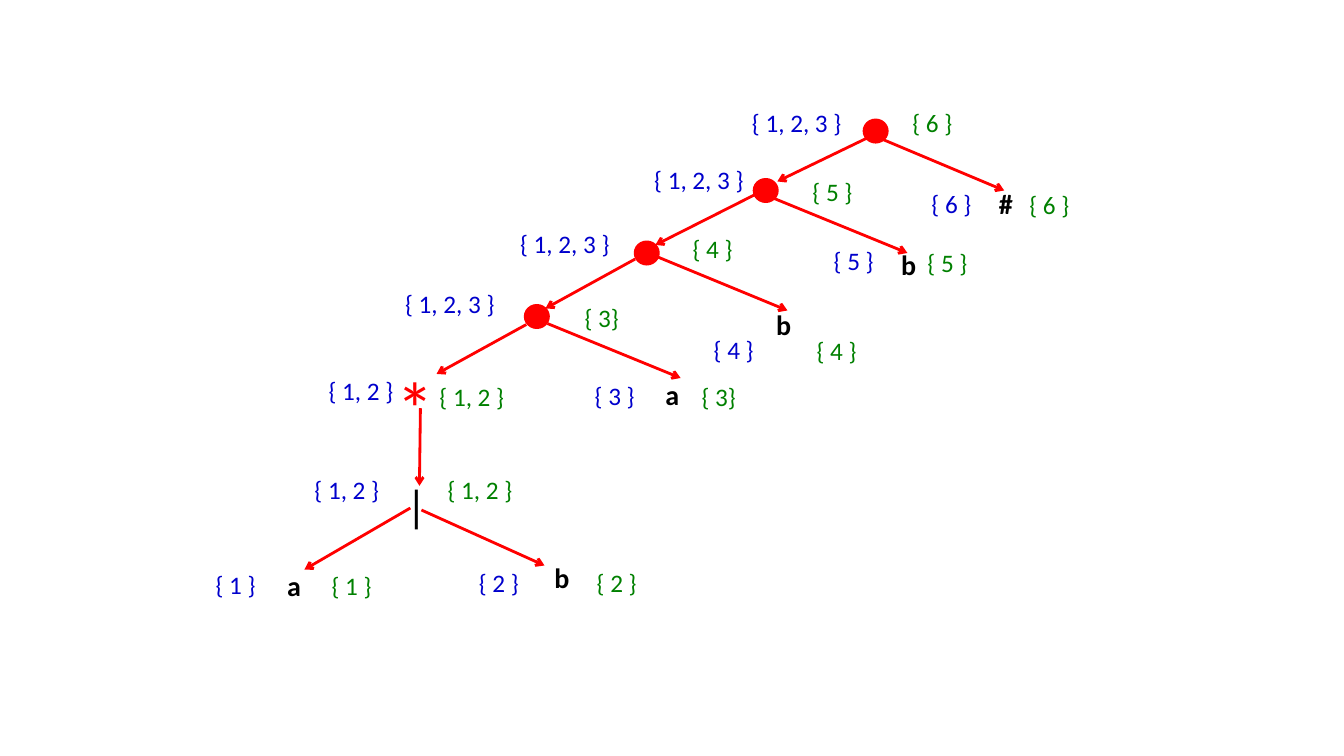
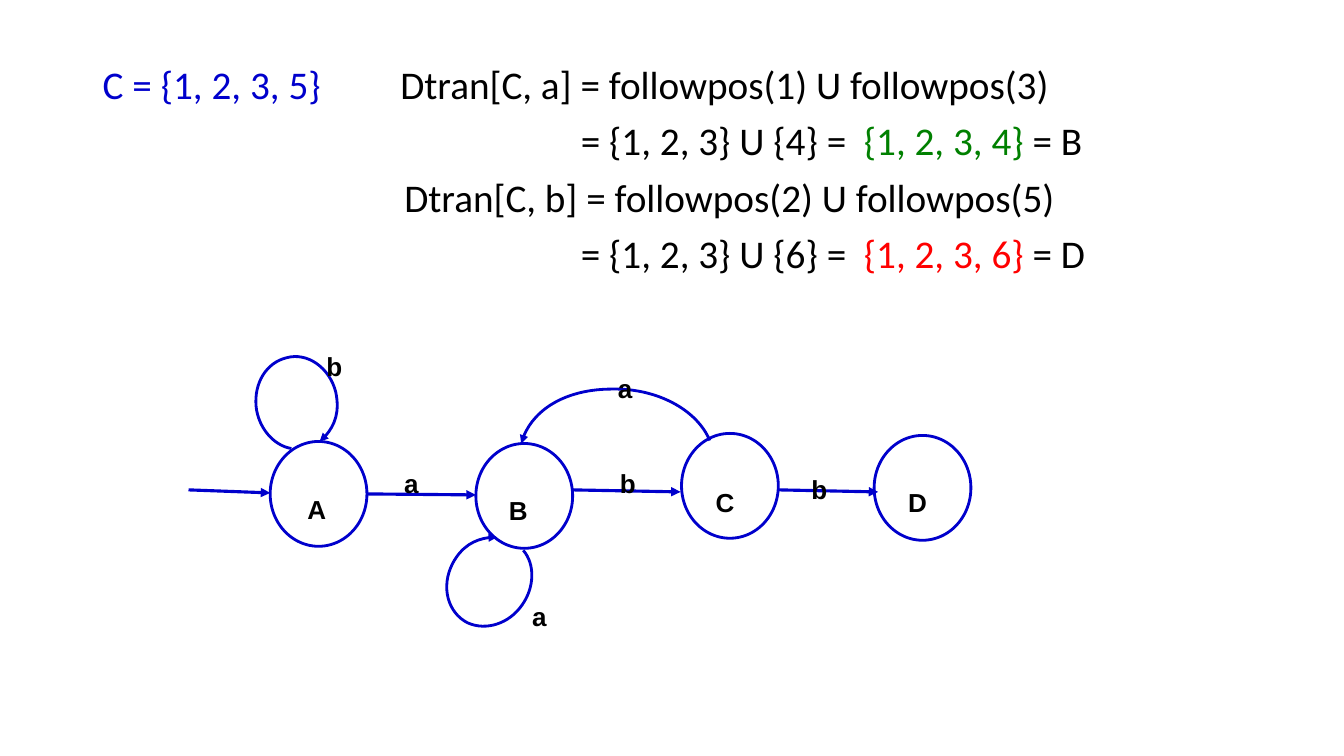
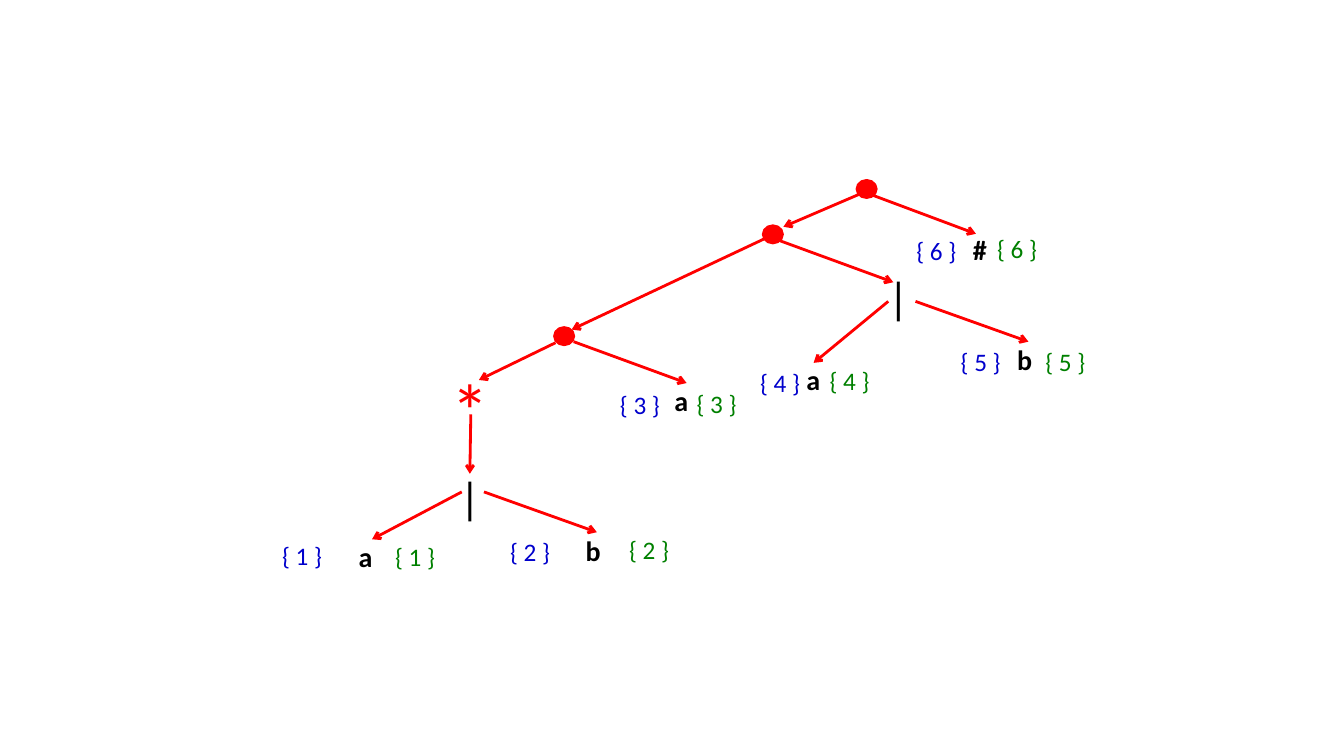
import pptx
import pptx.dml.color
import pptx.enum.shapes
import pptx.enum.text
import pptx.oxml.ns
import pptx.util
from lxml import etree

Inches = pptx.util.Inches
Pt = pptx.util.Pt
qn = pptx.oxml.ns.qn
RGB = pptx.dml.color.RGBColor.from_string
OVAL = pptx.enum.shapes.MSO_SHAPE.OVAL
STRAIGHT = pptx.enum.shapes.MSO_CONNECTOR.STRAIGHT

THEME = {
    "red": RGB("FF0000"),
    "blue": RGB("0000CC"),
    "green": RGB("008000"),
    "black": RGB("000000"),
    "body": {"name": "Calibri", "size": Pt(28)},
    "thin": Pt(2),
    "thick": Pt(2.25),
}
STYLES = {
    "leaf": {"ink": "black", "pad": 0.38, "high": 0.44,
             "font": {"name": "Calibri", "size": Pt(20), "bold": True}},
    "bar": {"ink": "black", "pad": 0.38, "high": 0.44,
            "font": {"name": "Calibri", "size": Pt(32)}},
    "star": {"ink": "red", "pad": 0.74, "high": 0.69,
             "font": {"name": "Calibri", "size": Pt(54)}},
    "first": {"ink": "blue", "pad": 0.38, "high": 0.4,
              "font": {"name": "Calibri", "size": Pt(18)}},
    "last": {"ink": "green", "pad": 0.38, "high": 0.4,
             "font": {"name": "Calibri", "size": Pt(18)}},
    "state": {"ink": "black", "pad": 0.39, "high": 0.64, "drop": "-25000",
              "font": {"name": "Arial", "size": Pt(32), "bold": True}},
    "set": {"ink": "blue", "pad": 1.4, "high": 0.57, "font": THEME["body"]},
}


def label(slide, style, words, x, y):
    look = STYLES[style]
    wide = look["pad"] + 0.08 * len(words)
    box = slide.shapes.add_textbox(Inches(x), Inches(y), Inches(wide), Inches(look["high"]))
    box.text_frame.word_wrap = True
    run = box.text_frame.paragraphs[0].add_run()
    run.text = words
    for key, value in look["font"].items():
        setattr(run.font, key, value)
    run.font.color.rgb = THEME[look["ink"]]
    if "drop" in look:
        run._r.get_or_add_rPr().set("baseline", look["drop"])


def stroke(item, ink, width, tip=None):
    item.line.color.rgb = THEME[ink]
    item.line.width = width
    if tip:
        etree.SubElement(item.line._get_or_add_ln(), qn("a:tailEnd"), type=tip)
    etree.SubElement(item._element.spPr, qn("a:effectLst"))


TREES = [
    {
        "dot": (0.23, 0.22),
        "dots": [(8.57, 1.19), (7.48, 1.78), (6.3, 2.4), (5.21, 3.03)],
        "edges": [
            (8.62, 1.36, 7.71, 1.8), (8.7, 1.36, 9.96, 1.89),
            (7.49, 1.93, 6.5, 2.43), (7.68, 1.97, 9, 2.51),
            (6.3, 2.57, 5.41, 3.06), (6.5, 2.54, 7.81, 3.08),
            (5.22, 3.22, 4.33, 3.71), (5.43, 3.21, 6.75, 3.75),
            (4.17, 4.05, 4.16, 4.82),
            (4.07, 5.04, 3.02, 5.65), (4.18, 5.06, 5.4, 5.61),
        ],
        "labels": {
            "star": [("*", 3.83, 3.53)],
            "bar": [("|", 3.93, 4.69)],
            "leaf": [("a", 2.75, 5.59), ("b", 5.4, 5.51), ("a", 6.5, 3.7),
                     ("b", 7.6, 3), ("b", 8.84, 2.41), ("#", 9.81, 1.8)],
            "first": [("{ 1 }", 2.04, 5.6), ("{ 2 }", 4.65, 5.58), ("{ 3 }", 5.8, 3.72),
                      ("{ 4 }", 6.98, 3.27), ("{ 5 }", 8.17, 2.38), ("{ 6 }", 9.14, 1.82),
                      ("{ 1, 2 }", 3.02, 4.66), ("{ 1, 2 }", 3.16, 3.67),
                      ("{ 1, 2, 3 }", 3.92, 2.81), ("{ 1, 2, 3 }", 5.06, 2.22),
                      ("{ 1, 2, 3 }", 6.39, 1.58), ("{ 1, 2, 3 }", 7.36, 1.02)],
            "last": [("{ 1 }", 3.19, 5.61), ("{ 2 }", 5.82, 5.58), ("{ 3}", 6.86, 3.73),
                     ("{ 4 }", 8, 3.28), ("{ 5 }", 9.1, 2.4), ("{ 6 }", 10.11, 1.83),
                     ("{ 1, 2 }", 4.34, 4.66), ("{ 1, 2 }", 4.26, 3.73),
                     ("{ 3}", 5.7, 2.95), ("{ 4 }", 6.77, 2.27),
                     ("{ 5 }", 7.96, 1.7), ("{ 6 }", 8.95, 1.02)],
        },
    },
    {
        "dot": (0.19, 0.17),
        "dots": [(8.5, 1.79), (7.57, 2.24), (5.5, 3.25)],
        "edges": [
            (8.54, 1.92, 7.77, 2.25), (8.61, 1.92, 9.68, 2.32),
            (7.58, 2.37, 5.67, 3.27), (7.74, 2.39, 8.86, 2.8),
            (5.51, 3.4, 4.75, 3.77), (5.69, 3.39, 6.81, 3.8),
            (4.67, 4.11, 4.66, 4.7),
            (4.58, 4.88, 3.69, 5.35), (4.8, 4.88, 5.92, 5.28),
            (8.81, 2.99, 8.07, 3.6), (9.08, 2.99, 10.2, 3.39),
        ],
        "labels": {
            "star": [("*", 4.38, 3.55)],
            "bar": [("|", 4.46, 4.61), ("|", 8.71, 2.63)],
            "leaf": [("a", 3.46, 5.3), ("b", 5.71, 5.24), ("a", 6.59, 3.76),
                     ("a", 7.9, 3.55), ("b", 9.99, 3.35), ("#", 9.55, 2.26)],
            "first": [("{ 1 }", 2.7, 5.31), ("{ 2 }", 4.96, 5.27), ("{ 3 }", 6.05, 3.81),
                      ("{ 4 }", 7.44, 3.59), ("{ 5 }", 9.43, 3.39), ("{ 6 }", 8.99, 2.29)],
            "last": [("{ 1 }", 3.82, 5.32), ("{ 2 }", 6.14, 5.25), ("{ 3 }", 6.81, 3.8),
                     ("{ 4 }", 8.13, 3.58), ("{ 5 }", 10.27, 3.39), ("{ 6 }", 9.79, 2.27)],
        },
    },
]

deck = pptx.Presentation()
deck.slide_width = Inches(13.33)
deck.slide_height = Inches(7.5)
blank = deck.slide_layouts[6]
first = deck.slides.add_slide(blank)
dfa = deck.slides.add_slide(deck.slide_layouts[1])
third = deck.slides.add_slide(blank)

for slide, tree in zip((first, third), TREES):
    for x, y in tree["dots"]:
        dot = slide.shapes.add_shape(OVAL, Inches(x), Inches(y), *map(Inches, tree["dot"]))
        dot.fill.solid()
        dot.fill.fore_color.rgb = THEME["red"]
        stroke(dot, "red", THEME["thin"])
    for ends in tree["edges"]:
        edge = slide.shapes.add_connector(STRAIGHT, *map(Inches, ends))
        stroke(edge, "red", THEME["thin"], "arrow")
    for style, items in tree["labels"].items():
        for item in items:
            label(slide, style, *item)

head = dfa.shapes.title._element
head.getparent().remove(head)
body = dfa.placeholders[1]
for key, value in {"left": 0.92, "top": 0.6, "width": 11.5, "height": 6.15}.items():
    setattr(body, key, Inches(value))
frame = body.text_frame
frame.auto_size = pptx.enum.text.MSO_AUTO_SIZE.NONE
frame.vertical_anchor = pptx.enum.text.MSO_ANCHOR.TOP

STEPS = [
    (2.95, [("Dtran[C, a] = followpos(1) U followpos(3)", "black")]),
    (4.74, [("= {1, 2, 3} U {4} =", "black"), (" ", "black"),
            ("{1, 2, 3, 4}", "green"), (" = B", "black")]),
    (2.99, [("Dtran[C, b] = followpos(2) U followpos(5)", "black")]),
    (4.74, [("= {1, 2, 3} U {6} =", "black"), (" ", "black"),
            ("{1, 2, 3, 6}", "red"), (" = D", "black")]),
]
for row, (indent, parts) in enumerate(STEPS):
    para = frame.add_paragraph() if row else frame.paragraphs[0]
    props = para._p.get_or_add_pPr()
    props.set("marL", str(Inches(indent)))
    props.set("indent", "0")
    etree.SubElement(props, qn("a:buNone"))
    para.line_spacing = 0.9
    para.space_before = Pt(10 if row else 0)
    for words, ink in parts:
        run = para.add_run()
        run.text = words
        for key, value in THEME["body"].items():
            setattr(run.font, key, value)
        run.font.color.rgb = THEME[ink]
        if words == " ":
            run._r.get_or_add_rPr().set("spc", "630")

label(dfa, "set", "C = {1, 2, 3, 5}", 0.92, 0.55)

for x, y in [(2.68, 4.38), (4.72, 4.4), (6.76, 4.3), (8.67, 4.32)]:
    state = dfa.shapes.add_shape(OVAL, Inches(x), Inches(y), Inches(0.96), Inches(1.04))
    state.fill.background()
    stroke(state, "blue", THEME["thin"])

MOVES = [(1.87, 4.86, 2.68, 4.89), (3.64, 4.9, 4.72, 4.91),
         (5.67, 4.86, 6.75, 4.88), (7.72, 4.86, 8.71, 4.88)]
for ends in MOVES:
    move = dfa.shapes.add_connector(STRAIGHT, *map(Inches, ends))
    stroke(move, "blue", THEME["thick"], "triangle")

LOOPS = [
    [(2.89, 4.45), (2.71, 4.42), (2.56, 4.24), (2.54, 4.03), (2.52, 3.8), (2.64, 3.6),
     (2.84, 3.55), (3.05, 3.49), (3.27, 3.65), (3.33, 3.89), (3.37, 4.08), (3.31, 4.27),
     (3.17, 4.38)],
    [(5.19, 5.46), (5.31, 5.6), (5.3, 5.83), (5.18, 6), (5.05, 6.19), (4.82, 6.26),
     (4.64, 6.18), (4.44, 6.08), (4.37, 5.82), (4.49, 5.59), (4.58, 5.42), (4.76, 5.32),
     (4.93, 5.33)],
    [(7.04, 4.37), (6.91, 4.06), (6.51, 3.85), (6.07, 3.86), (5.63, 3.86), (5.25, 4.08),
     (5.17, 4.4)],
]
for knots in LOOPS:
    pen = dfa.shapes.build_freeform(*map(Inches, knots[0]))
    pen.add_line_segments([tuple(map(Inches, knot)) for knot in knots[1:]], close=False)
    loop = pen.convert_to_shape()
    trace = loop._element.find(".//" + qn("a:path"))
    legs = trace.findall(qn("a:lnTo"))
    for start in range(0, len(legs), 3):
        curve = etree.SubElement(trace, qn("a:cubicBezTo"))
        for leg in legs[start:start + 3]:
            curve.append(leg[0])
            trace.remove(leg)
    loop.fill.background()
    stroke(loop, "blue", THEME["thin"], "triangle")

MARKS = [("A", 2.95, 4.55), ("B", 4.95, 4.56), ("C", 7, 4.48), ("D", 8.91, 4.48),
         ("a", 3.91, 4.29), ("b", 3.14, 3.13), ("b", 6.05, 4.29), ("a", 5.18, 5.61),
         ("a", 6.03, 3.35), ("b", 7.95, 4.35)]
for mark in MARKS:
    label(dfa, "state", *mark)

deck.save("out.pptx")
